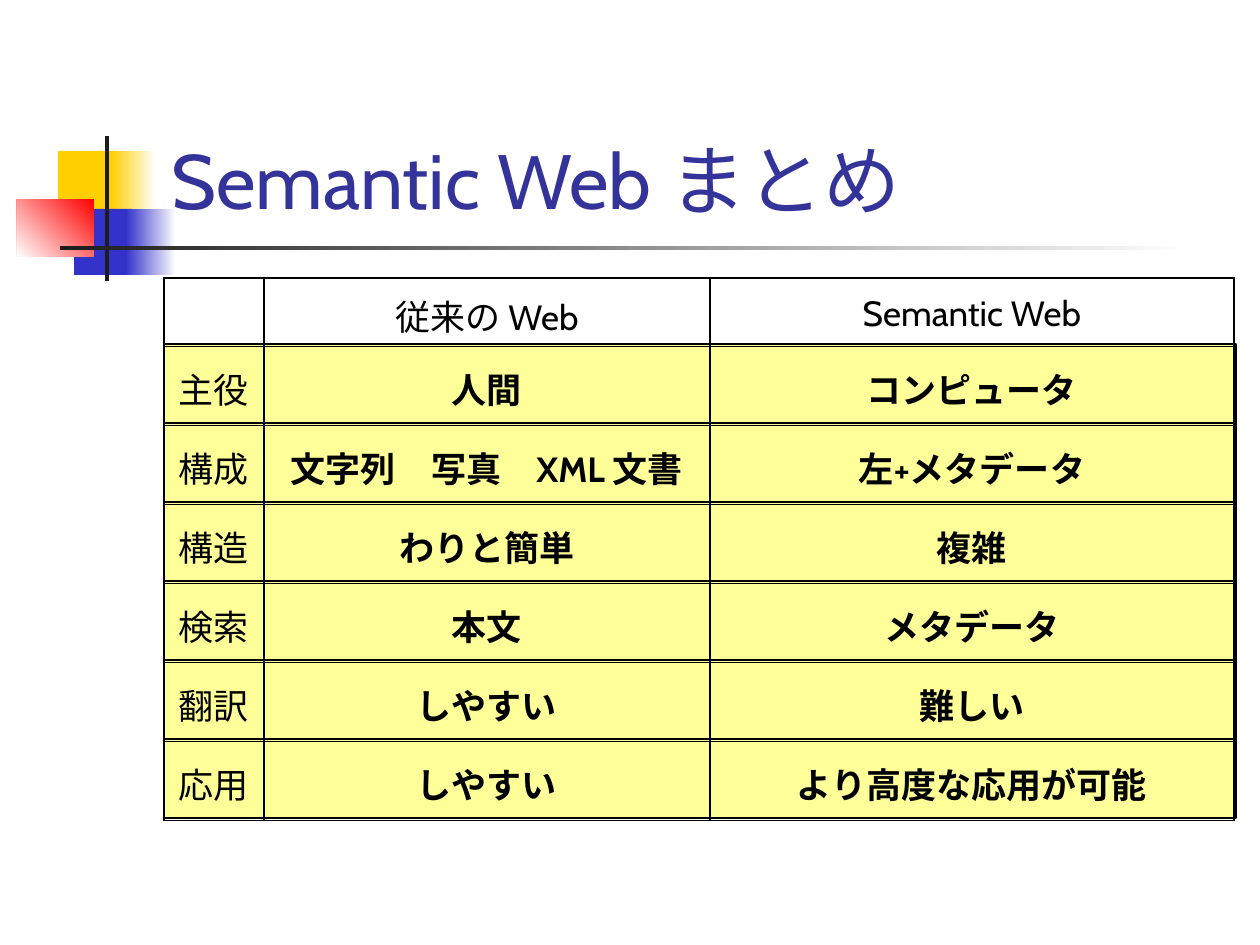
"""Build a slide that compares the conventional Web with the Semantic Web."""
from dataclasses import dataclass

from lxml.etree import SubElement
from pptx import Presentation
from pptx.dml.color import RGBColor
from pptx.enum.lang import MSO_LANGUAGE_ID
from pptx.enum.shapes import MSO_SHAPE
from pptx.enum.text import MSO_ANCHOR, MSO_AUTO_SIZE, PP_ALIGN
from pptx.oxml.ns import qn
from pptx.util import Emu, Pt

PIXELS_PER_INCH = 126


@dataclass(frozen=True)
class Theme:
    """Colours, font and sizes of the slide."""
    font: str = "Cabin"
    title_size: int = 44
    table_size: int = 20
    title: str = "333399"
    text: str = "000000"
    yellow: str = "FFCF01"
    blue: str = "3333CC"
    red: str = "FF0000"
    dark: str = "1C1C1C"
    white: str = "FFFFFF"
    band: str = "FFFF99"
    band_line: float = 0.75
    thick_line: float = 1.08
    thin_line: float = 0.45


THEME = Theme()

ORNAMENTS = [
    ((58, 151, 60, 66), [THEME.yellow], 0),
    ((111, 151, 45, 66), [THEME.white, THEME.yellow], 180),
    ((74, 209, 58, 66), [THEME.blue], 0),
    ((126, 209, 50, 66), [THEME.white, THEME.blue], 180),
    ((17, 199, 77, 58), [THEME.red, THEME.white], 225),
    ((105, 136, 4, 145), [THEME.dark], 0),
    ((60, 246, 1134, 4), [THEME.white, THEME.dark], 180),
]

ROWS = [
    ("", "従来の Web", "Semantic Web"),
    ("主役", "人間", "コンピュータ"),
    ("構成", "文字列　写真　XML 文書", "左+メタデータ"),
    ("構造", "わりと簡単", "複雑"),
    ("検索", "本文", "メタデータ"),
    ("翻訳", "しやすい", "難しい"),
    ("応用", "しやすい", "より高度な応用が可能"),
]
TABLE_LEFT, TABLE_TOP = 164, 278
COLUMN_WIDTHS = [100, 446, 524]
HEADER_HEIGHT, ROW_HEIGHT = 66, 79
BAND_WIDTH = 1072


def px(value):
    """Turn pixels into EMU."""
    return Emu(round(value * 914400 / PIXELS_PER_INCH))


def rgb(value):
    """Turn a hex string into a colour."""
    return RGBColor.from_string(value)


def style_runs(paragraph, size, color, bold=False):
    """Format every run of a paragraph."""
    for run in paragraph.runs:
        run.font.name = THEME.font
        run.font.size = Pt(size)
        run.font.bold = bold
        run.font.color.rgb = rgb(color)
        run.font.language_id = MSO_LANGUAGE_ID.JAPANESE


def add_rectangle(slide, box, colors, angle=0):
    """Add a rectangle without outline, filled plainly or with a gradient."""
    shape = slide.shapes.add_shape(MSO_SHAPE.RECTANGLE, *map(px, box))
    shape.shadow.inherit = False
    shape.line.fill.background()
    if len(colors) == 1:
        shape.fill.solid()
        shape.fill.fore_color.rgb = rgb(colors[0])
    else:
        shape.fill.gradient()
        shape.fill.gradient_angle = angle
        for stop, color in zip(shape.fill.gradient_stops, colors):
            stop.color.rgb = rgb(color)
    return shape


def set_title(slide, text):
    """Place and format the title placeholder."""
    title = slide.shapes.title
    title.left, title.top, title.width, title.height = map(px, (159, 29, 1074, 202))
    frame = title.text_frame
    frame.text = text
    frame.auto_size = MSO_AUTO_SIZE.NONE
    frame.vertical_anchor = MSO_ANCHOR.BOTTOM
    paragraph = frame.paragraphs[0]
    paragraph.alignment = PP_ALIGN.LEFT
    style_runs(paragraph, THEME.title_size, THEME.title)


def add_bands(slide):
    """Add the outlined colour band behind each body row."""
    for index in range(len(ROWS) - 1):
        top = TABLE_TOP + HEADER_HEIGHT + index * ROW_HEIGHT
        band = add_rectangle(slide, (TABLE_LEFT, top, BAND_WIDTH, ROW_HEIGHT), [THEME.band])
        band.line.color.rgb = rgb(THEME.text)
        band.line.width = Pt(THEME.band_line)


def set_borders(cell, widths):
    """Draw the cell borders from a mapping of side to width in points."""
    properties = cell._tc.get_or_add_tcPr()
    for side, width in widths.items():
        line = SubElement(properties, qn(f"a:ln{side}"), w=str(Pt(width)))
        fill = SubElement(line, qn("a:solidFill"))
        SubElement(fill, qn("a:srgbClr"), val=THEME.text)


def fill_cell(cell, text, bold, top_line, bottom_line):
    """Write one table cell with its borders."""
    set_borders(cell, {"L": THEME.thick_line, "R": THEME.thick_line,
                       "T": top_line, "B": bottom_line})
    cell.fill.background()
    cell.vertical_anchor = MSO_ANCHOR.MIDDLE
    cell.text_frame.text = text
    paragraph = cell.text_frame.paragraphs[0]
    paragraph.alignment = PP_ALIGN.CENTER
    paragraph.line_spacing = 1.1
    paragraph.space_before = Pt(5)
    style_runs(paragraph, THEME.table_size, THEME.text, bold)


def add_comparison(slide):
    """Add the comparison table over the bands."""
    heights = [HEADER_HEIGHT] + [ROW_HEIGHT] * (len(ROWS) - 1)
    table = slide.shapes.add_table(
        len(ROWS), len(COLUMN_WIDTHS), px(TABLE_LEFT), px(TABLE_TOP),
        px(sum(COLUMN_WIDTHS)), px(sum(heights))).table
    table.first_row = table.horz_banding = False
    for column, width in zip(table.columns, COLUMN_WIDTHS):
        column.width = px(width)
    last = len(ROWS) - 1
    for row_index, (row, height) in enumerate(zip(ROWS, heights)):
        table.rows[row_index].height = px(height)
        top_line = THEME.thick_line if row_index < 2 else THEME.thin_line
        bottom_line = THEME.thick_line if row_index in (0, last) else THEME.thin_line
        for column_index, text in enumerate(row):
            bold = row_index > 0 and column_index > 0
            fill_cell(table.cell(row_index, column_index), text, bold, top_line, bottom_line)


def main():
    """Build and save the presentation."""
    presentation = Presentation()
    presentation.slide_width, presentation.slide_height = px(1260), px(945)
    slide = presentation.slides.add_slide(presentation.slide_layouts[5])
    for box, colors, angle in ORNAMENTS:
        add_rectangle(slide, box, colors, angle)
    set_title(slide, "Semantic Web まとめ")
    add_bands(slide)
    add_comparison(slide)
    presentation.save("out.pptx")


if __name__ == "__main__":
    main()
